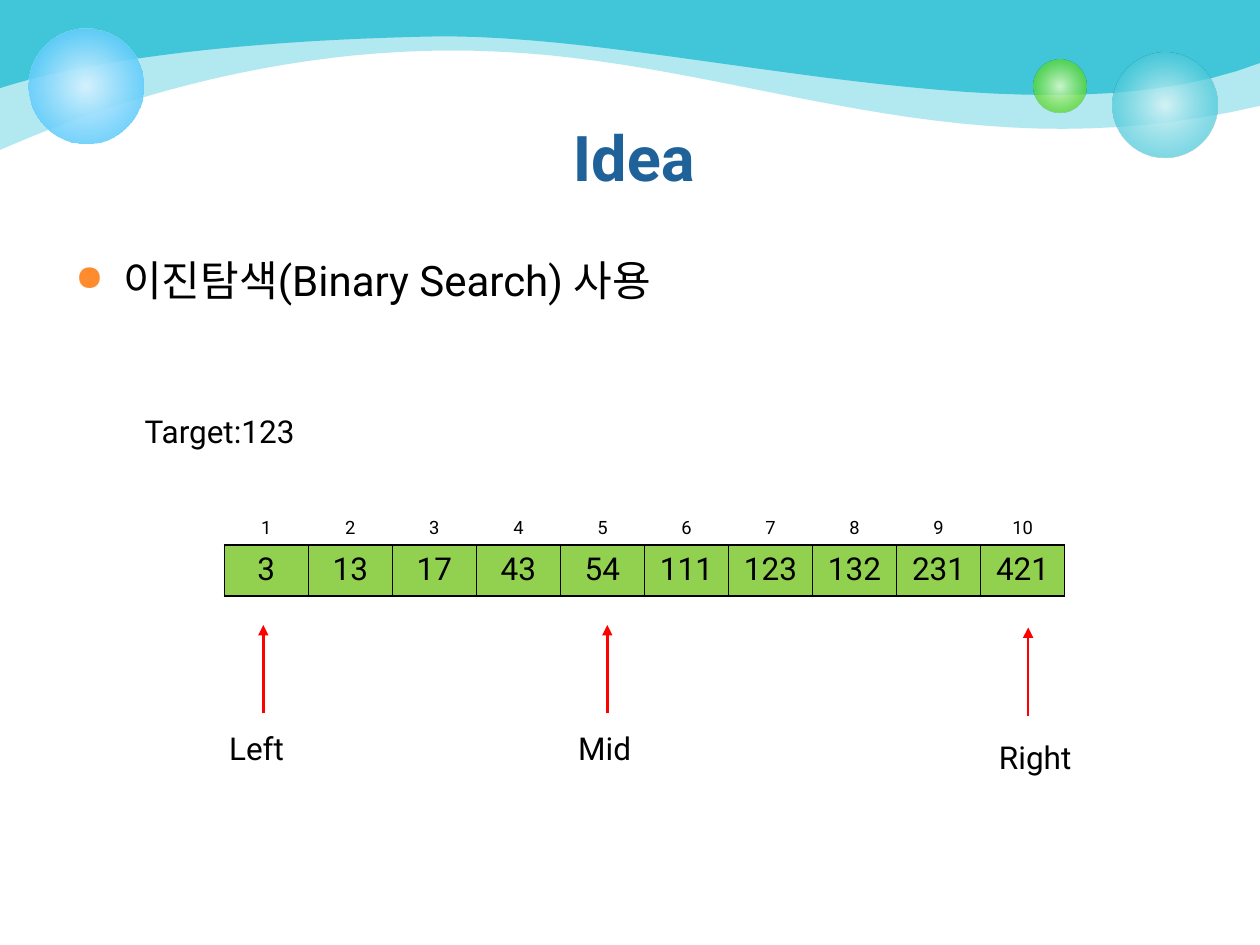
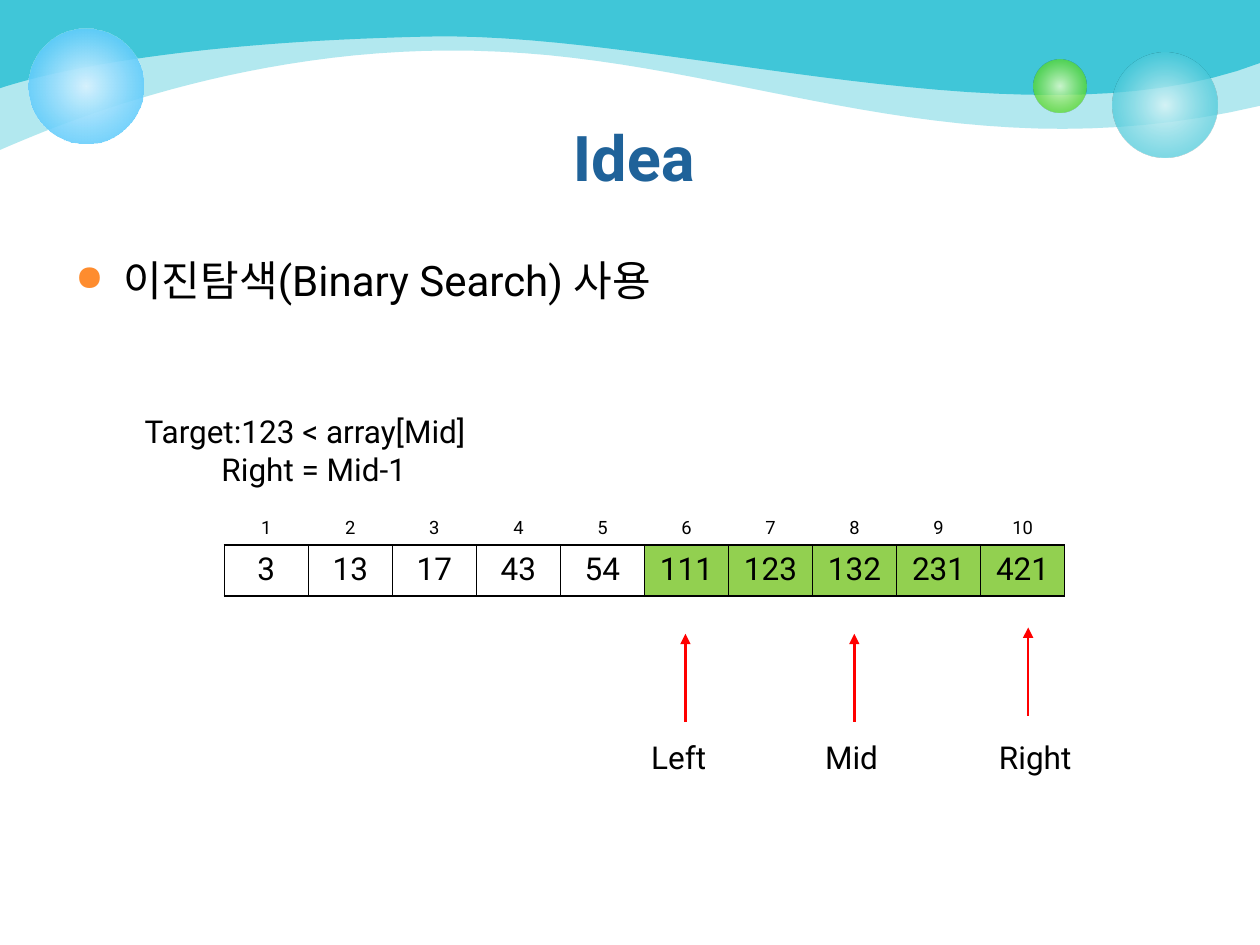
from collections.abc import Iterable
from dataclasses import dataclass
from typing import NamedTuple

from lxml.etree import SubElement
from pptx import Presentation
from pptx.dml.color import RGBColor
from pptx.enum.shapes import MSO_CONNECTOR as Connector, MSO_SHAPE as Preset
from pptx.enum.text import MSO_ANCHOR as Anchor, MSO_AUTO_SIZE as AutoSize, PP_ALIGN as Align
from pptx.oxml import parse_xml
from pptx.oxml.ns import nsdecls, qn
from pptx.util import Inches, Pt


@dataclass(frozen=True)
class Theme:
    font: str = "Roboto"
    title: str = "1F6299"
    ink: str = "000000"
    bullet: str = "FE8C2E"
    wave: str = "40C6D8"
    active: str = "92D050"
    arrow: str = "FF0000"
    title_size: float = 36
    body_size: float = 24
    label_size: float = 18
    index_size: float = 10.5
    arrow_width: float = 1.5
    border_width: float = 1


class Wave(NamedTuple):
    start: tuple[float, float]
    curves: tuple[tuple[float, ...], ...]
    opacity: int


class Stop(NamedTuple):
    position: int
    color: str
    opacity: int


class Bubble(NamedTuple):
    left: float
    top: float
    diameter: float
    stops: tuple[Stop, Stop]


class Pointer(NamedTuple):
    label: str
    x: float
    tip: float
    label_left: float
    label_top: float


class TargetLine(NamedTuple):
    text: str
    indent: float = 0


class Step(NamedTuple):
    target_width: float
    target_height: float
    target_lines: tuple[TargetLine, ...]
    first_active: int
    pointers: tuple[Pointer, ...]


THEME = Theme()
WAVES = (
    Wave((0, 1.19), ((0.33, 1.05, 1.97, 0.31, 3.96, 0.41),
                     (5.95, 0.5, 7.62, 1.4, 10, 0.84)), 40),
    Wave((0, 0.7), ((0.45, 0.55, 1.53, 0.33, 3.41, 0.29),
                    (5.29, 0.25, 8.2, 1.19, 10, 0.5)), 100),
)
BUBBLES = (
    Bubble(8.83, 0.42, 0.83, (Stop(0, "D9F4F7", 90), Stop(76, THEME.wave, 70))),
    Bubble(8.2, 0.47, 0.42, (Stop(0, "DAFACD", 90), Stop(76, "4CD416", 70))),
    Bubble(0.23, 0.23, 0.91, (Stop(0, "D6F2FE", 100), Stop(100, "33BDFB", 80))),
)
VALUES = (3, 13, 17, 43, 54, 111, 123, 132, 231, 421)
RIGHT = Pointer("Right", 8.16, 4.98, 7.83, 5.81)
STEPS = (
    Step(1.56, 0.4, (TargetLine("Target:123"),), 0,
         (Pointer("Left", 2.09, 4.96, 1.72, 5.74),
          Pointer("Mid", 4.82, 4.96, 4.49, 5.74), RIGHT)),
    Step(3.34, 0.71, (TargetLine("Target:123 < array[Mid]"),
                      TargetLine("Right = Mid-1", 0.61)), 5,
         (Pointer("Left", 5.44, 5.03, 5.07, 5.81),
          Pointer("Mid", 6.78, 5.03, 6.45, 5.81), RIGHT)),
)
ARROW_LENGTH = 0.7
CURVE_SAMPLES = 30


def add_run(paragraph, text: str, size: float, color: str = THEME.ink, bold: bool = False) -> None:
    run = paragraph.add_run()
    run.text = text
    run.font.name = THEME.font
    run.font.size = Pt(size)
    run.font.bold = bold
    run.font.color.rgb = RGBColor.from_string(color)


def bezier(start: tuple[float, float], curve: tuple[float, ...]) -> list[tuple[float, float]]:
    x1, y1, x2, y2, x3, y3 = curve

    def blend(a: float, b: float, c: float, d: float, t: float) -> float:
        u = 1 - t
        return u**3 * a + 3 * u * u * t * b + 3 * u * t * t * c + t**3 * d

    steps = [i / CURVE_SAMPLES for i in range(1, CURVE_SAMPLES + 1)]
    return [(blend(start[0], x1, x2, x3, t), blend(start[1], y1, y2, y3, t)) for t in steps]


def set_opacity(color, opacity: int) -> None:
    SubElement(color, qn("a:alpha")).set("val", str(opacity * 1000))


def draw_wave(shapes, wave: Wave):
    points = [wave.start]
    for curve in wave.curves:
        points += bezier(points[-1], curve)
    points.append((10, 0))
    outline = shapes.build_freeform(0, 0)
    outline.add_line_segments([(Inches(x), Inches(y)) for x, y in points], close=True)
    band = outline.convert_to_shape()
    band.shadow.inherit = False
    band.line.fill.background()
    band.fill.solid()
    band.fill.fore_color.rgb = RGBColor.from_string(THEME.wave)
    set_opacity(band._element.spPr.find(".//" + qn("a:srgbClr")), wave.opacity)
    return band


def draw_bubble(shapes, bubble: Bubble):
    circle = shapes.add_shape(Preset.OVAL, Inches(bubble.left), Inches(bubble.top),
                              Inches(bubble.diameter), Inches(bubble.diameter))
    circle.shadow.inherit = False
    circle.line.fill.background()
    stops = "".join(
        f'<a:gs pos="{stop.position * 1000}"><a:srgbClr val="{stop.color}">'
        f'<a:alpha val="{stop.opacity * 1000}"/></a:srgbClr></a:gs>' for stop in bubble.stops)
    gradient = parse_xml(
        f'<a:gradFill {nsdecls("a")} rotWithShape="1"><a:gsLst>{stops}</a:gsLst>'
        '<a:path path="circle"><a:fillToRect l="50000" t="50000" r="50000" b="50000"/></a:path>'
        '</a:gradFill>')
    circle._element.spPr.find(qn("a:prstGeom")).addnext(gradient)
    return circle


def decorate_layout(slide) -> None:
    decor = [draw_wave(slide.shapes, wave) for wave in WAVES]
    decor += [draw_bubble(slide.shapes, bubble) for bubble in BUBBLES]
    tree = slide.slide_layout.shapes._spTree
    for order, shape in enumerate(decor):
        shape._element.nvSpPr.cNvPr.set("id", str(100 + order))
        tree.insert(2 + order, shape._element)


def write_title(slide, text: str) -> None:
    title = slide.shapes.title
    title.left, title.top = Inches(0.53), Inches(0.89)
    title.width, title.height = Inches(9), Inches(1.25)
    title.text_frame.vertical_anchor = Anchor.TOP
    paragraph = title.text_frame.paragraphs[0]
    paragraph.alignment = Align.CENTER
    add_run(paragraph, text, THEME.title_size, THEME.title, bold=True)


def add_text_frame(slide, left: float, top: float, width: float, height: float):
    frame = slide.shapes.add_textbox(Inches(left), Inches(top),
                                     Inches(width), Inches(height)).text_frame
    frame.word_wrap = True
    return frame


def write_method(slide, text: str) -> None:
    paragraph = add_text_frame(slide, 0.5, 1.97, 9.22, 2.35).paragraphs[0]
    properties = paragraph._p.get_or_add_pPr()
    properties.set("marL", str(Inches(0.38)))
    properties.set("indent", str(-Inches(0.38)))
    for markup in (
        f'<a:spcBef {nsdecls("a")}><a:spcPct val="20000"/></a:spcBef>',
        f'<a:buClr {nsdecls("a")}><a:srgbClr val="{THEME.bullet}"/></a:buClr>',
        f'<a:buSzPct {nsdecls("a")} val="85000"/>',
        f'<a:buChar {nsdecls("a")} char="●"/>',
    ):
        properties.append(parse_xml(markup))
    add_run(paragraph, text, THEME.body_size)


def write_lines(slide, left: float, top: float, width: float, height: float,
                lines: Iterable[TargetLine]) -> None:
    frame = add_text_frame(slide, left, top, width, height)
    frame.auto_size = AutoSize.SHAPE_TO_FIT_TEXT
    for order, line in enumerate(lines):
        paragraph = frame.add_paragraph() if order else frame.paragraphs[0]
        if line.indent:
            paragraph._p.get_or_add_pPr().set("marL", str(Inches(line.indent)))
        add_run(paragraph, line.text, THEME.label_size)


def draw_pointer(slide, pointer: Pointer) -> None:
    arrow = slide.shapes.add_connector(
        Connector.STRAIGHT, Inches(pointer.x), Inches(pointer.tip + ARROW_LENGTH),
        Inches(pointer.x), Inches(pointer.tip))
    arrow.line.color.rgb = RGBColor.from_string(THEME.arrow)
    arrow.line.width = Pt(THEME.arrow_width)
    SubElement(arrow.line._get_or_add_ln(), qn("a:tailEnd")).set("type", "triangle")
    SubElement(arrow._element.spPr, qn("a:effectLst"))
    write_lines(slide, pointer.label_left, pointer.label_top, 0.85, 0.4,
                (TargetLine(pointer.label),))


def set_borders(cell, sides: str) -> None:
    properties = cell._tc.get_or_add_tcPr()
    for order, side in enumerate(sides):
        properties.insert(order, parse_xml(
            f'<a:ln{side} {nsdecls("a")} w="{Pt(THEME.border_width)}"><a:solidFill>'
            f'<a:srgbClr val="{THEME.ink}"/></a:solidFill></a:ln{side}>'))


def fill_cell(cell, text: str, size: float, fill: str | None, sides: str) -> None:
    paragraph = cell.text_frame.paragraphs[0]
    paragraph.alignment = Align.CENTER
    add_run(paragraph, text, size)
    if fill:
        cell.fill.solid()
        cell.fill.fore_color.rgb = RGBColor.from_string(fill)
    else:
        cell.fill.background()
    set_borders(cell, sides)


def draw_array(slide, first_active: int) -> None:
    array = slide.shapes.add_table(2, len(VALUES), Inches(1.78), Inches(3.92),
                                   Inches(6.67), Inches(0.81)).table
    array.first_row = array.horz_banding = False
    array._tbl.tblPr.find(qn("a:tableStyleId")).text = "{2D5ABB26-0587-4C30-8999-92F81FD0307C}"
    for column, value in enumerate(VALUES):
        index = array.cell(0, column)
        index.vertical_anchor = Anchor.BOTTOM
        fill_cell(index, str(column + 1), THEME.index_size, None, "B")
        fill = THEME.active if column >= first_active else None
        fill_cell(array.cell(1, column), str(value), THEME.label_size, fill, "LRTB")


def build_step(slide, step: Step) -> None:
    write_title(slide, "Idea")
    write_method(slide, "이진탐색(Binary Search) 사용")
    write_lines(slide, 1.05, 3.22, step.target_width, step.target_height, step.target_lines)
    for pointer in step.pointers:
        draw_pointer(slide, pointer)
    draw_array(slide, step.first_active)


def main() -> None:
    deck = Presentation()
    deck.slide_width, deck.slide_height = Inches(10), Inches(7.5)
    title_only = deck.slide_layouts[5]
    slides = [deck.slides.add_slide(title_only) for _ in STEPS]
    decorate_layout(slides[0])
    for slide, step in zip(slides, STEPS):
        build_step(slide, step)
    deck.save("out.pptx")


if __name__ == "__main__":
    main()
